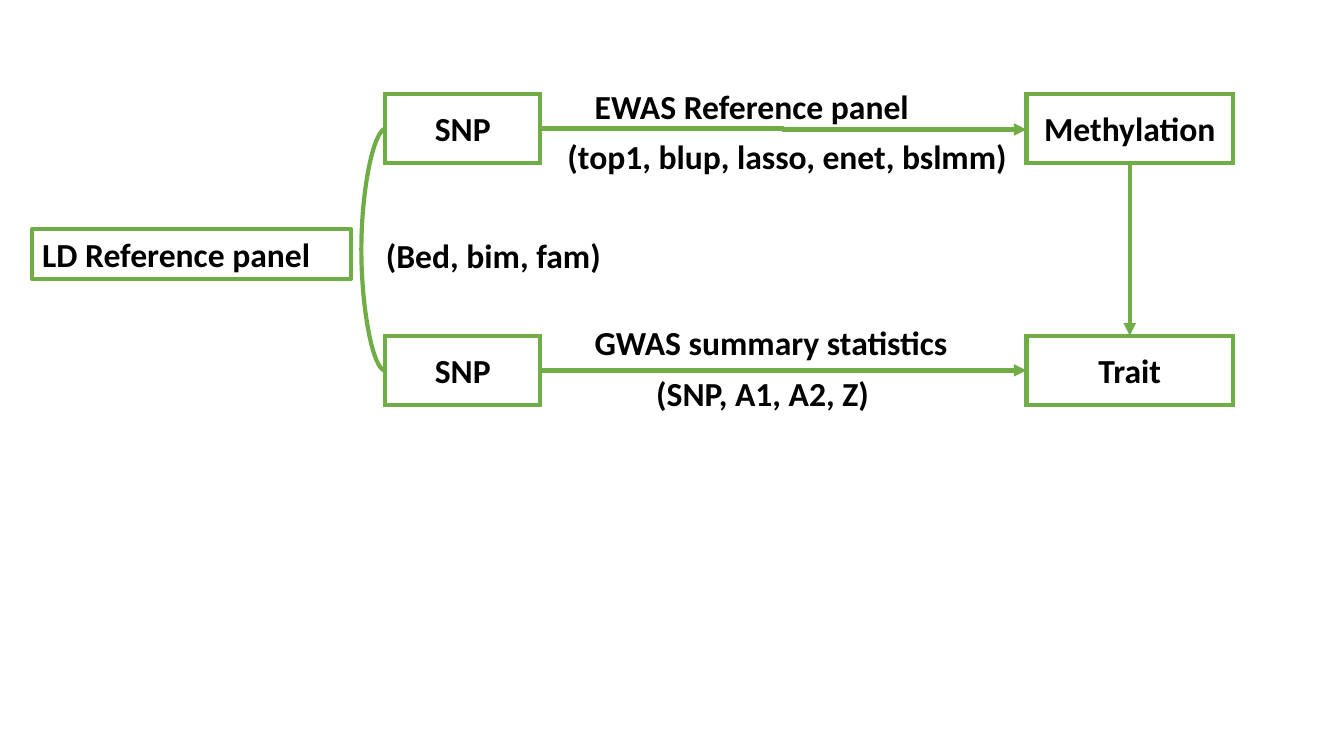
from lxml import etree
from pptx import Presentation
from pptx.dml.color import RGBColor
from pptx.enum import shapes, text
from pptx.oxml.ns import qn
from pptx.util import Inches, Pt

GREEN, WHITE, BLACK = "70AD47", "FFFFFF", "000000"
FONT, SIZE, LINE_WIDTH = "Calibri", 24, 3

SNP_LEFT, SNP_WIDTH = 3.82, 1.54
OUTCOME_LEFT, OUTCOME_WIDTH = 10.18, 2.05
EWAS_TOP, GWAS_TOP, NODE_HEIGHT = 0.93, 3.33, 0.69
LABEL_HEIGHT = 0.5

NODES = [  # wording, left, top, width
    ("SNP", SNP_LEFT, EWAS_TOP, SNP_WIDTH),
    ("SNP", SNP_LEFT, GWAS_TOP, SNP_WIDTH),
    ("Trait", OUTCOME_LEFT, GWAS_TOP, OUTCOME_WIDTH),
    ("Methylation", OUTCOME_LEFT, EWAS_TOP, OUTCOME_WIDTH),
]
LD_PANEL = ("LD Reference panel", 0.32, 2.27, 3.16)
LABELS = [  # wording, left, top, width
    ("EWAS Reference panel", 5.8, 0.8, 3.33),
    ("GWAS summary statistics", 5.8, 3.14, 3.72),
    ("(top1, blup, lasso, enet, bslmm)", 5.53, 1.3, 4.65),
    ("(SNP, A1, A2, Z)", 6.41, 3.65, 2.71),
    ("(Bed, bim, fam)", 3.73, 2.28, 2.63),
]


def color(hex_code):
    """Turn a hex string into a colour."""
    return RGBColor.from_string(hex_code)


def write(shape, wording, align=text.PP_ALIGN.LEFT, anchor=text.MSO_ANCHOR.TOP):
    """Put one bold line of text into a shape."""
    frame = shape.text_frame
    frame.word_wrap = True
    frame.vertical_anchor = anchor
    paragraph = frame.paragraphs[0]
    paragraph.text = wording
    paragraph.alignment = align
    font = paragraph.font
    font.name, font.size, font.bold = FONT, Pt(SIZE), True
    font.color.rgb = color(BLACK)


def outline(shape):
    """Give a shape or connector the green line."""
    shape.line.color.rgb = color(GREEN)
    shape.line.width = Pt(LINE_WIDTH)


def add_box(slide, left, top, width, height):
    """Add a green-edged rectangle without shadow."""
    box = slide.shapes.add_shape(shapes.MSO_SHAPE.RECTANGLE, *map(Inches, (left, top, width, height)))
    box.shadow.inherit = False
    outline(box)
    return box


def add_node(slide, wording, left, top, width):
    """Add a white, sharp-cornered box with centred text."""
    node = add_box(slide, left, top, width, NODE_HEIGHT)
    node.fill.solid()
    node.fill.fore_color.rgb = color(WHITE)
    etree.SubElement(node.line._get_or_add_ln(), qn("a:miter"), lim="800000")
    write(node, wording, text.PP_ALIGN.CENTER, text.MSO_ANCHOR.MIDDLE)


def add_link(slide, kind, start, end, arrow=True):
    """Add a green connector, by default with an arrowhead at its end."""
    link = slide.shapes.add_connector(kind, *map(Inches, start + end))
    outline(link)
    if arrow:
        etree.SubElement(link.line._get_or_add_ln(), qn("a:tailEnd"), type="triangle")
    etree.SubElement(link._element.spPr, qn("a:effectLst"))
    return link


def add_bracket(slide, left, top, bottom, bulge):
    """Add the curve that joins both SNP boxes, bulging to the left."""
    sliver = 0.01
    curve = add_link(slide, shapes.MSO_CONNECTOR.CURVE, (left, bottom), (left + sliver, top), False)
    properties = curve._element.spPr
    properties.find(qn("a:xfrm")).set("rot", str(180 * 60000))
    adjustments = properties.find(qn("a:prstGeom")).get_or_add_avLst()
    ratio = round(bulge / sliver * 100000)
    etree.SubElement(adjustments, qn("a:gd"), name="adj1", fmla=f"val {ratio}")


prs = Presentation()
prs.slide_width, prs.slide_height = Inches(13.33), Inches(7.5)
slide = prs.slides.add_slide(prs.slide_layouts[6])

for node in NODES:
    add_node(slide, *node)

ewas_y, gwas_y = (top + NODE_HEIGHT / 2 for top in (EWAS_TOP, GWAS_TOP))
snp_right = SNP_LEFT + SNP_WIDTH
outcome_x = OUTCOME_LEFT + OUTCOME_WIDTH / 2
elbow, straight = shapes.MSO_CONNECTOR.ELBOW, shapes.MSO_CONNECTOR.STRAIGHT
add_link(slide, elbow, (snp_right, ewas_y), (OUTCOME_LEFT, ewas_y + 0.01))
add_link(slide, elbow, (snp_right, gwas_y), (OUTCOME_LEFT, gwas_y))
add_bracket(slide, SNP_LEFT, ewas_y, gwas_y, 0.25)
add_link(slide, straight, (outcome_x, EWAS_TOP + NODE_HEIGHT), (outcome_x, GWAS_TOP))

ld_wording, *ld_place = LD_PANEL
ld_box = add_box(slide, *ld_place, LABEL_HEIGHT)
ld_box.fill.background()
write(ld_box, ld_wording)

for wording, *place in LABELS:
    write(slide.shapes.add_textbox(*map(Inches, (*place, LABEL_HEIGHT))), wording)

prs.save("out.pptx")
